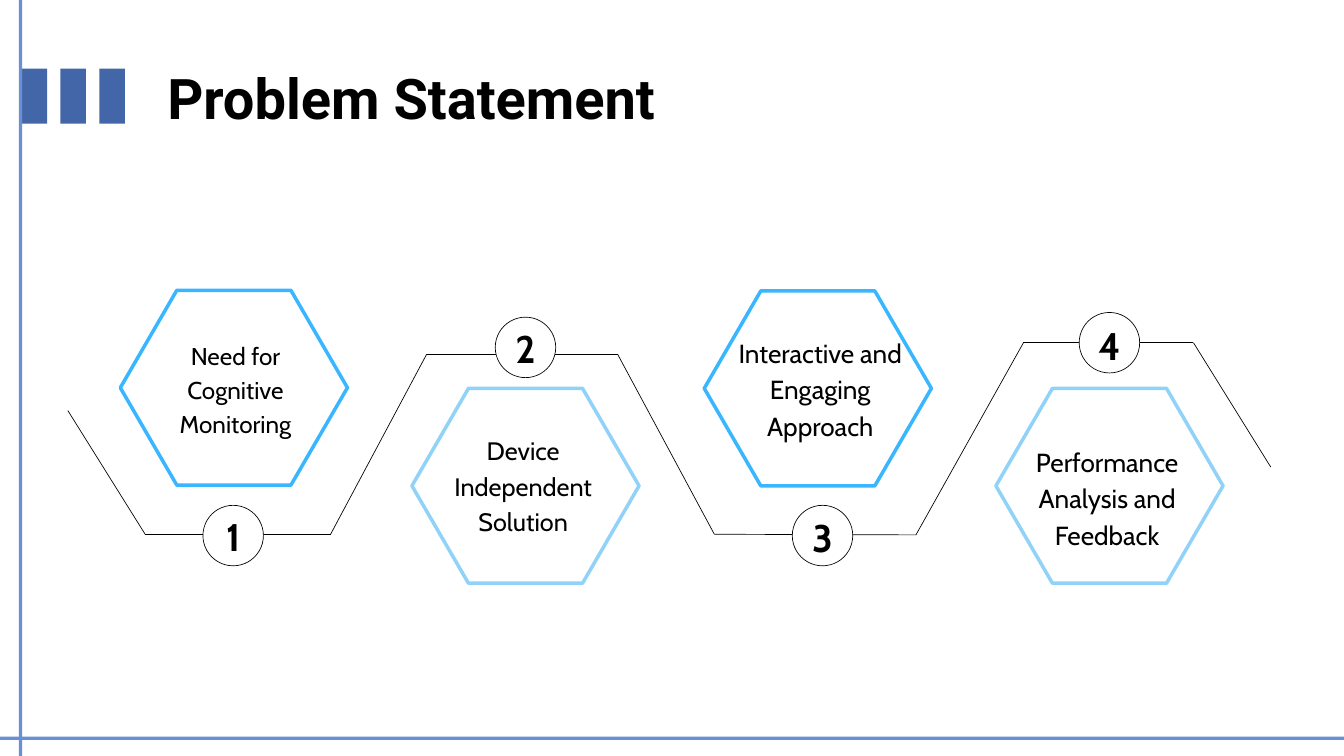
"""Build the Problem Statement slide: four numbered hexagons along a zigzag line."""
import itertools

import pptx
import pptx.dml.color
import pptx.enum.shapes
import pptx.enum.text
import pptx.oxml
import pptx.util

PX = 9144
WIDTH, HEIGHT = 2000, 1125
BLACK = pptx.dml.color.RGBColor(0x00, 0x00, 0x00)
WHITE = pptx.dml.color.RGBColor(0xFF, 0xFF, 0xFF)
NAVY = pptx.dml.color.RGBColor(0x43, 0x66, 0xA8)
RULE_BLUE = pptx.dml.color.RGBColor(0x69, 0x8F, 0xD6)
BRIGHT_BLUE = pptx.dml.color.RGBColor(0x38, 0xB6, 0xFF)
PALE_BLUE = pptx.dml.color.RGBColor(0x91, 0xD2, 0xF8)
SHAPE = pptx.enum.shapes.MSO_SHAPE
EFFECTS = '<a:effectLst xmlns:a="http://schemas.openxmlformats.org/drawingml/2006/main"/>'

deck = pptx.Presentation()
deck.slide_width, deck.slide_height = WIDTH * PX, HEIGHT * PX
page = deck.slides.add_slide(deck.slide_layouts[6])


def add_shape(kind, bounds, fill=None, line=None, weight=0.75):
    shape = page.shapes.add_shape(kind, *(value * PX for value in bounds))
    shape.shadow.inherit = False
    if fill is None:
        shape.fill.background()
    else:
        shape.fill.solid()
        shape.fill.fore_color.rgb = fill
    if line is None:
        shape.line.fill.background()
    else:
        shape.line.color.rgb = line
        shape.line.width = pptx.util.Pt(weight)
    return shape


def add_text(bounds, text, font, size, spacing, bold=False, wrap=True):
    box = page.shapes.add_textbox(*(value * PX for value in bounds))
    frame = box.text_frame
    frame.margin_left = frame.margin_top = frame.margin_right = frame.margin_bottom = 0
    frame.word_wrap = wrap
    frame.text = text
    for paragraph in frame.paragraphs:
        paragraph.alignment = pptx.enum.text.PP_ALIGN.CENTER
        paragraph.line_spacing = pptx.util.Pt(spacing)
        for span in paragraph.runs:
            span.font.name = font
            span.font.size = pptx.util.Pt(size)
            span.font.bold = bold
            span.font.color.rgb = BLACK


for left in (32, 90, 148):
    add_shape(SHAPE.RECTANGLE, (left, 102, 38, 82), fill=NAVY)
add_text((179, 78, 866, 122), "Problem Statement", "Roboto", 60, 84, bold=True)

zigzag = [(101, 611), (216, 795), (492, 795), (635, 527), (919, 527),
          (1063, 795), (1363, 796), (1523, 510), (1776, 510), (1891, 695)]
for start, end in itertools.pairwise(zigzag):
    segment = page.shapes.add_connector(
        pptx.enum.shapes.MSO_CONNECTOR.STRAIGHT, *(value * PX for value in start + end))
    segment.line.color.rgb = BLACK
    segment.line.width = pptx.util.Pt(0.75)
    segment._element.spPr.append(pptx.oxml.parse_xml(EFFECTS))

steps = [
    ("Need for\nCognitive\nMonitoring", 26, (238, 500, 225, 149), 432, BRIGHT_BLUE,
     (302, 752), (332, 752, 30, 77)),
    ("Device\nIndependent\nSolution", 27, (652, 641, 253, 155), 578, PALE_BLUE,
     (737, 472), (766, 473, 32, 77)),
    ("Interactive and Engaging Approach", 28, (1094, 494, 253, 161), 433, BRIGHT_BLUE,
     (1179, 752), (1207, 754, 34, 77)),
    ("Performance\nAnalysis and\nFeedback", 28, (1521, 656, 253, 161), 578, PALE_BLUE,
     (1606, 465), (1633, 468, 36, 77)),
]
for index, (label, size, label_bounds, top, color, circle, number_bounds) in enumerate(steps):
    hexagon = add_shape(SHAPE.HEXAGON, (179 + round(index * 434.4), top, 338, 290),
                        line=color, weight=3.75)
    hexagon.adjustments[0] = 0.29
    add_text(label_bounds, label, "Cabin", size, size * 1.4)
    add_shape(SHAPE.OVAL, (*circle, 90, 90), fill=WHITE, line=BLACK)
    add_text(number_bounds, str(index + 1), "Cabin", 41.2, 57.6, bold=True, wrap=False)

add_shape(SHAPE.RECTANGLE, (0, 1096, WIDTH, 5), fill=RULE_BLUE)
add_shape(SHAPE.RECTANGLE, (28, 0, 5, HEIGHT), fill=RULE_BLUE)

deck.save("out.pptx")
